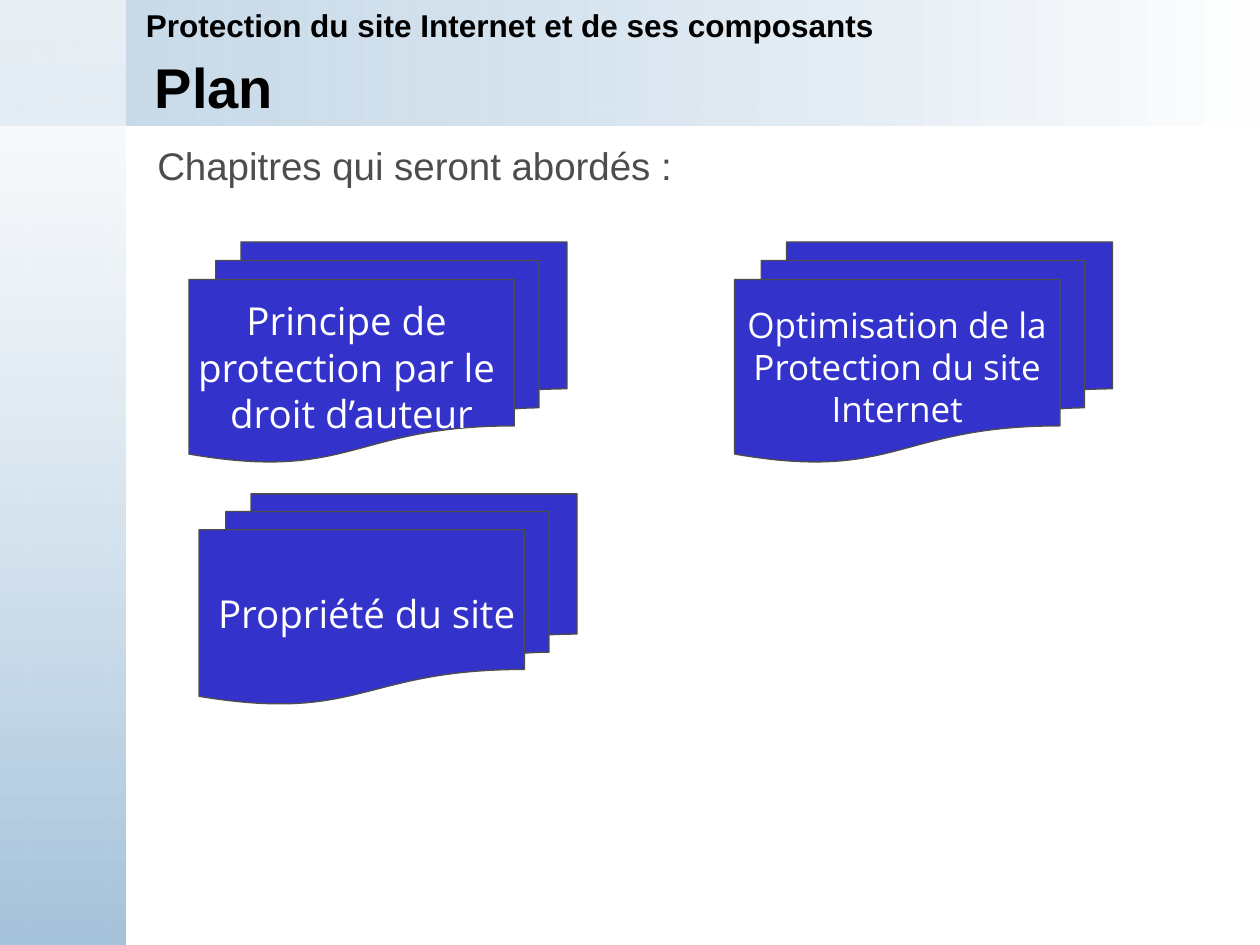
import dataclasses

import pptx
import pptx.dml.color
import pptx.enum.shapes
import pptx.enum.text
import pptx.oxml
import pptx.oxml.ns
import pptx.util
from pptx.util import Inches

COLORS = {
    "band": "A5C3DB",
    "white": "FFFFFF",
    "black": "000000",
    "gray": "4D4D4D",
    "blue": "3333CC",
}


@dataclasses.dataclass
class Band:
    width: float
    height: float
    angle: int
    start: str
    end: str
    opacity: int


@dataclasses.dataclass
class Caption:
    left: float
    top: float
    width: float
    height: float
    text: str
    size: int
    color: str
    bold: bool


@dataclasses.dataclass
class Chapter:
    left: float
    top: float
    height: float
    lines: list[str]
    size: int


BANDS = [
    Band(10, 1, 0, "band", "white", 62),
    Band(1, 7.5, 270, "white", "band", 59),
]
CAPTIONS = [
    Caption(1.15, 1.08, 8.33, 0.47, "Chapitres qui seront abordés : ", 22, "gray", False),
    Caption(1.06, 0, 8.94, 0.4, "Protection du site Internet et de ses composants", 18, "black", True),
]
CHAPTERS = [
    Chapter(1.58, 3.92, 1.67, [" Propriété du site"], 22),
    Chapter(1.5, 1.92, 1.75, ["Principe de ", "protection par le ", "droit d’auteur"], 22),
    Chapter(5.83, 1.92, 1.75, ["Optimisation de la", "Protection du site", "Internet"], 20),
]


def rgb(name: str) -> pptx.dml.color.RGBColor:
    return pptx.dml.color.RGBColor.from_string(COLORS[name])


def format_text(text_frame, font_name: str, size: int, color: str, bold: bool, alignment) -> None:
    for paragraph in text_frame.paragraphs:
        paragraph.alignment = alignment
        for run in paragraph.runs:
            run.font.name = font_name
            run.font.size = pptx.util.Pt(size)
            run.font.bold = bold
            run.font.color.rgb = rgb(color)


def add_band(slide, band: Band) -> None:
    shape = slide.shapes.add_shape(
        pptx.enum.shapes.MSO_SHAPE.RECTANGLE, 0, 0, Inches(band.width), Inches(band.height)
    )
    shape.shadow.inherit = False
    shape.line.fill.background()
    shape.fill.gradient()
    shape.fill.gradient_angle = band.angle
    for stop, color, position in zip(shape.fill.gradient_stops, (band.start, band.end), (0, 1)):
        stop.color.rgb = rgb(color)
        stop.position = position
    first_color = shape._element.spPr.find(".//" + pptx.oxml.ns.qn("a:srgbClr"))
    alpha = pptx.oxml.parse_xml(f'<a:alpha {pptx.oxml.ns.nsdecls("a")} val="{band.opacity * 1000}"/>')
    first_color.append(alpha)


def add_caption(slide, caption: Caption) -> None:
    box = slide.shapes.add_textbox(
        Inches(caption.left), Inches(caption.top), Inches(caption.width), Inches(caption.height)
    )
    text_frame = box.text_frame
    text_frame.word_wrap = True
    text_frame.auto_size = pptx.enum.text.MSO_AUTO_SIZE.SHAPE_TO_FIT_TEXT
    text_frame.text = caption.text
    format_text(
        text_frame, "Arial", caption.size, caption.color, caption.bold, pptx.enum.text.PP_ALIGN.LEFT
    )


def add_chapter(slide, chapter: Chapter) -> None:
    shape = slide.shapes.add_shape(
        pptx.enum.shapes.MSO_SHAPE.FLOWCHART_MULTIDOCUMENT,
        Inches(chapter.left), Inches(chapter.top), Inches(3), Inches(chapter.height),
    )
    shape.shadow.inherit = False
    shape.fill.solid()
    shape.fill.fore_color.rgb = rgb("blue")
    shape.line.color.rgb = rgb("gray")
    shape.line.width = pptx.util.Pt(0.75)
    text_frame = shape.text_frame
    text_frame.word_wrap = False
    text_frame.margin_top = text_frame.margin_bottom = 0
    text_frame.vertical_anchor = pptx.enum.text.MSO_ANCHOR.MIDDLE
    text_frame.text = "\n".join(chapter.lines)
    format_text(
        text_frame, "Open Sans", chapter.size, "white", False, pptx.enum.text.PP_ALIGN.CENTER
    )


def add_title(slide) -> None:
    title = slide.shapes.title
    title.left, title.top = Inches(1.13), Inches(0.44)
    title.width, title.height = Inches(8.45), Inches(0.49)
    title.text_frame.text = "Plan"
    title.text_frame.vertical_anchor = pptx.enum.text.MSO_ANCHOR.MIDDLE
    title.text_frame.auto_size = pptx.enum.text.MSO_AUTO_SIZE.NONE
    format_text(title.text_frame, "Arial", 32, "black", True, pptx.enum.text.PP_ALIGN.LEFT)
    slide.shapes._spTree.append(title._element)


def main() -> None:
    presentation = pptx.Presentation()
    presentation.slide_width = Inches(10)
    presentation.slide_height = Inches(7.5)
    slide = presentation.slides.add_slide(presentation.slide_layouts[5])
    slide.background.fill.solid()
    slide.background.fill.fore_color.rgb = rgb("white")
    for band in BANDS:
        add_band(slide, band)
    add_title(slide)
    for caption in CAPTIONS:
        add_caption(slide, caption)
    for chapter in CHAPTERS:
        add_chapter(slide, chapter)
    presentation.save("out.pptx")


main()
